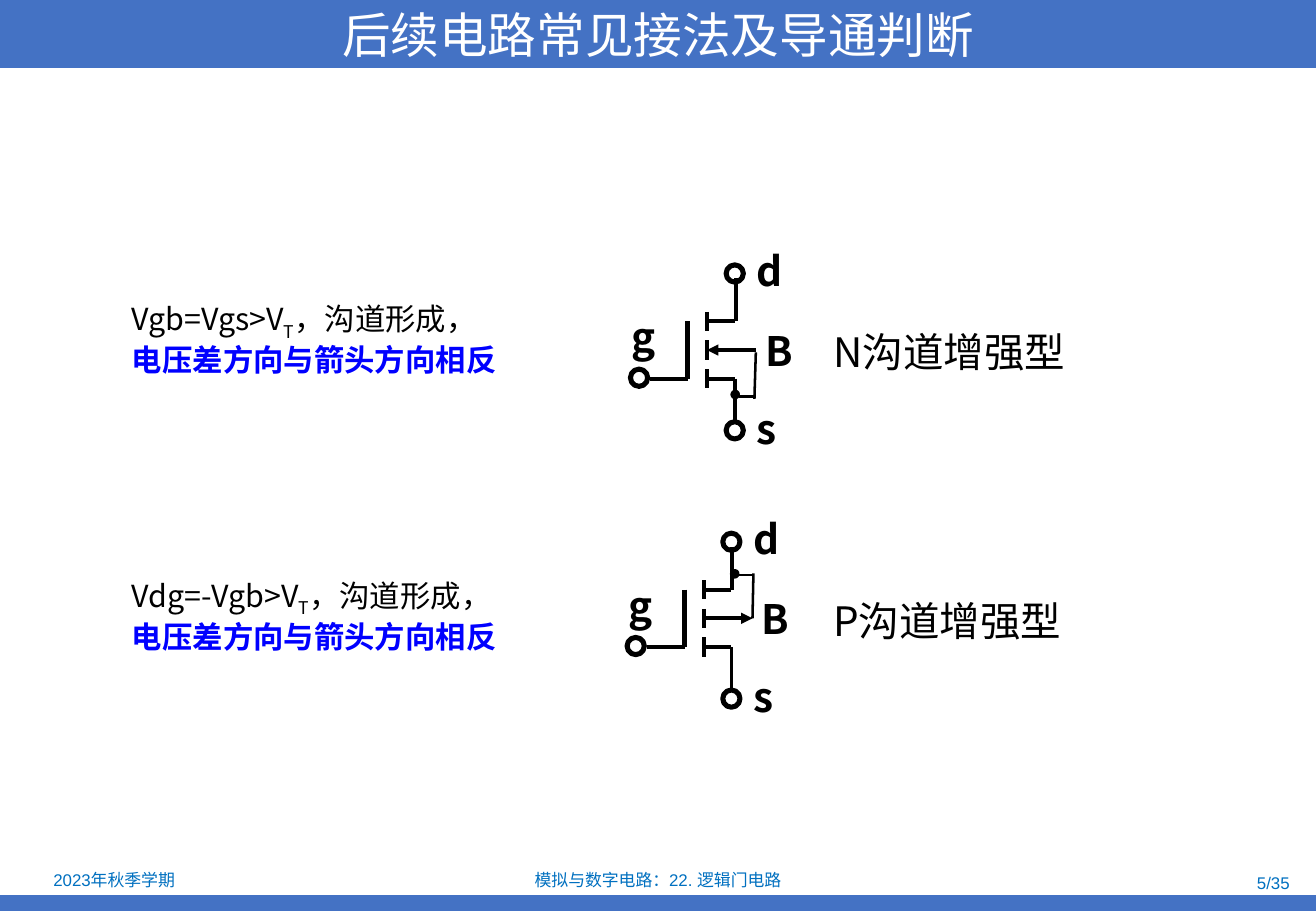
from dataclasses import dataclass

from lxml import etree
from pptx import Presentation
from pptx import util as u
from pptx.dml import color
from pptx.enum import shapes, text
from pptx.oxml import ns

SANS = "Noto Sans CJK SC"
BLACK, WHITE, BAND, FOOTER, EMPHASIS = "000000", "FFFFFF", "4472C4", "0070C0", "0000FF"
SLIDE_WIDTH, SLIDE_HEIGHT = 27.51, 19.05
PITCH = 0.6  # distance between channel segments
SOURCE_X = 0.58

Point = tuple[float, float]


@dataclass
class Wire:
    start: Point
    end: Point
    weight: float = 2.25


@dataclass
class Terminal:
    name: str
    label: Point
    center: Point | None = None


@dataclass
class Transistor:
    origin: Point  # middle of the channel
    kind: str
    voltage: str
    condition_top: float
    arrow_end: str
    bulk_wires: list[Wire]
    junction: Point


WIRES = [
    *[Wire((0, y - 0.2), (0, y + 0.2)) for y in (-PITCH, 0, PITCH)],
    *[Wire((0, y), (SOURCE_X, y)) for y in (-PITCH, PITCH)],
    Wire((-0.41, -PITCH), (-0.41, PITCH), 3),
    Wire((-1.19, PITCH), (-0.4, PITCH)),
    Wire((SOURCE_X, PITCH), (SOURCE_X, 1.5)),
    Wire((0.6, -1.5), (0.6, -PITCH)),
]
TERMINALS = [
    Terminal("g", (-1.57, -0.79), (-1.42, 0.58)),
    Terminal("s", (1.04, 1.12), (SOURCE_X, 1.68)),
    Terminal("d", (1.04, -2.18), (SOURCE_X, -1.6)),
    Terminal("B", (1.22, -0.51)),
]
TRANSISTORS = [
    Transistor((14.78, 7.32), "N沟道增强型", "Vgb=Vgs>V", 6.15, "headEnd",
               [Wire((1.02, 0.05), (0.99, 1.02), 1.5), Wire((0.66, 0.97), (1.02, 0.97), 1.5)],
               (0.59, 0.93)),
    Transistor((14.71, 12.93), "P沟道增强型", "Vdg=-Vgb>V", 11.94, "tailEnd",
               [Wire((1.04, -0.94), (1.02, 0), 1.5), Wire((0.66, -0.91), (1.02, -0.91), 1.5)],
               (0.65, -0.93)),
]


def rgb(value: str) -> color.RGBColor:
    return color.RGBColor.from_string(value)


def style_run(run, size: float, hue: str, bold: bool = False, name: str = SANS) -> None:
    run.font.size, run.font.bold, run.font.name = u.Pt(size), bold, name
    run.font.color.rgb = rgb(hue)
    east_asian = etree.SubElement(run.font._element, ns.qn("a:ea"))
    east_asian.set("typeface", SANS)


def add_text(parent, left: float, top: float, width: float, height: float):
    box = parent.add_textbox(u.Cm(left), u.Cm(top), u.Cm(width), u.Cm(height))
    box.text_frame.word_wrap = True
    return box.text_frame


def add_wire(parent, origin: Point, wire: Wire, arrow_end: str = "") -> None:
    ends = [u.Cm(base + step) for point in (wire.start, wire.end)
            for base, step in zip(origin, point)]
    connector = parent.add_connector(shapes.MSO_CONNECTOR.STRAIGHT, *ends)
    connector.line.color.rgb = rgb(BLACK)
    connector.line.width = u.Pt(wire.weight)
    if arrow_end:
        line = connector.line._get_or_add_ln()
        etree.SubElement(line, ns.qn(f"a:{arrow_end}")).set("type", "triangle")
    etree.SubElement(connector._element.spPr, ns.qn("a:effectLst"))


def add_circle(parent, origin: Point, center: Point, diameter: float,
               weight: float, filled: bool) -> None:
    left, top = (base + step - diameter / 2 for base, step in zip(origin, center))
    circle = parent.add_shape(shapes.MSO_SHAPE.OVAL, u.Cm(left), u.Cm(top),
                              u.Cm(diameter), u.Cm(diameter))
    circle.shadow.inherit = False
    circle.line.color.rgb = rgb(BLACK)
    circle.line.width = u.Pt(weight)
    if filled:
        circle.fill.solid()
        circle.fill.fore_color.rgb = rgb(BLACK)
    else:
        circle.fill.background()


def add_terminal(parent, origin: Point, terminal: Terminal) -> None:
    if terminal.center:
        add_circle(parent, origin, terminal.center, 0.36, 3, filled=False)
    frame = add_text(parent, origin[0] + terminal.label[0], origin[1] + terminal.label[1],
                     0.56, 1.02)
    frame.margin_left = frame.margin_right = frame.margin_top = frame.margin_bottom = 0
    frame.word_wrap = False
    frame.auto_size = text.MSO_AUTO_SIZE.SHAPE_TO_FIT_TEXT
    frame.text = terminal.name
    style_run(frame.paragraphs[0].runs[0], 24, BLACK, bold=True)


def add_transistor(slide, device: Transistor) -> None:
    # Circuit symbol
    symbol = slide.shapes.add_group_shape().shapes
    for wire in WIRES + device.bulk_wires:
        add_wire(symbol, device.origin, wire)
    add_wire(symbol, device.origin, Wire((0, 0), (1.02, 0)), device.arrow_end)
    add_circle(symbol, device.origin, device.junction, 0.13, 2, filled=True)
    for terminal in TERMINALS:
        add_terminal(symbol, device.origin, terminal)

    # Transistor type
    frame = add_text(slide.shapes, 15.9, device.origin[1] - PITCH, 7, 1.4)
    frame.text = device.kind
    paragraph = frame.paragraphs[0]
    paragraph.level = 1
    properties = paragraph._p.get_or_add_pPr()
    properties.set("marL", str(u.Cm(2.06)))
    properties.set("indent", str(u.Cm(-0.79)))
    style_run(paragraph.runs[0], 24, BLACK)

    # Condition for conduction
    frame = add_text(slide.shapes, 2.51, device.condition_top, 9.9, 1.8)
    frame.text = f"{device.voltage}\n电压差方向与箭头方向相反"
    condition, direction = frame.paragraphs
    for part in ("T", "，沟道形成，"):
        condition.add_run().text = part
    for run in condition.runs:
        style_run(run, 18, BLACK)
    condition.runs[1].font._element.set("baseline", "-25000")
    style_run(direction.runs[0], 18, EMPHASIS, bold=True)


def add_footer(slide, words: str, left: float, top: float, width: float, alignment) -> None:
    frame = add_text(slide.shapes, left, top, width, 0.56)
    frame.vertical_anchor = text.MSO_ANCHOR.MIDDLE
    frame.text = words
    frame.paragraphs[0].alignment = alignment
    style_run(frame.paragraphs[0].runs[0], 10, FOOTER, name="Arial")


def fill_band(shape) -> None:
    shape.fill.solid()
    shape.fill.fore_color.rgb = rgb(BAND)
    shape.line.fill.background()


def main() -> None:
    presentation = Presentation()
    presentation.slide_width, presentation.slide_height = u.Cm(SLIDE_WIDTH), u.Cm(SLIDE_HEIGHT)
    slide = presentation.slides.add_slide(presentation.slide_layouts[5])

    # Title band
    title = slide.shapes.title
    title.left, title.top = u.Cm(0), u.Cm(0)
    title.width, title.height = u.Cm(SLIDE_WIDTH), u.Cm(1.42)
    fill_band(title)
    title.text_frame.text = "后续电路常见接法及导通判断"
    title.text_frame.auto_size = text.MSO_AUTO_SIZE.NONE
    title.text_frame.vertical_anchor = text.MSO_ANCHOR.MIDDLE
    title.text_frame.paragraphs[0].alignment = text.PP_ALIGN.CENTER
    style_run(title.text_frame.paragraphs[0].runs[0], 28.8, WHITE)

    # Footer
    band = slide.shapes.add_shape(shapes.MSO_SHAPE.RECTANGLE, u.Cm(0), u.Cm(18.72),
                                  u.Cm(SLIDE_WIDTH), u.Cm(0.33))
    band.shadow.inherit = False
    fill_band(band)
    add_footer(slide, "2023年秋季学期", 0.05, 18.12, 4.67, text.PP_ALIGN.CENTER)
    add_footer(slide, "模拟与数字电路：22. 逻辑门电路", 9.4, 18.12, 8.71, text.PP_ALIGN.CENTER)
    add_footer(slide, "5/35", 20.78, 18.17, 6.43, text.PP_ALIGN.RIGHT)

    # Transistors
    for device in TRANSISTORS:
        add_transistor(slide, device)

    presentation.save("out.pptx")


if __name__ == "__main__":
    main()
